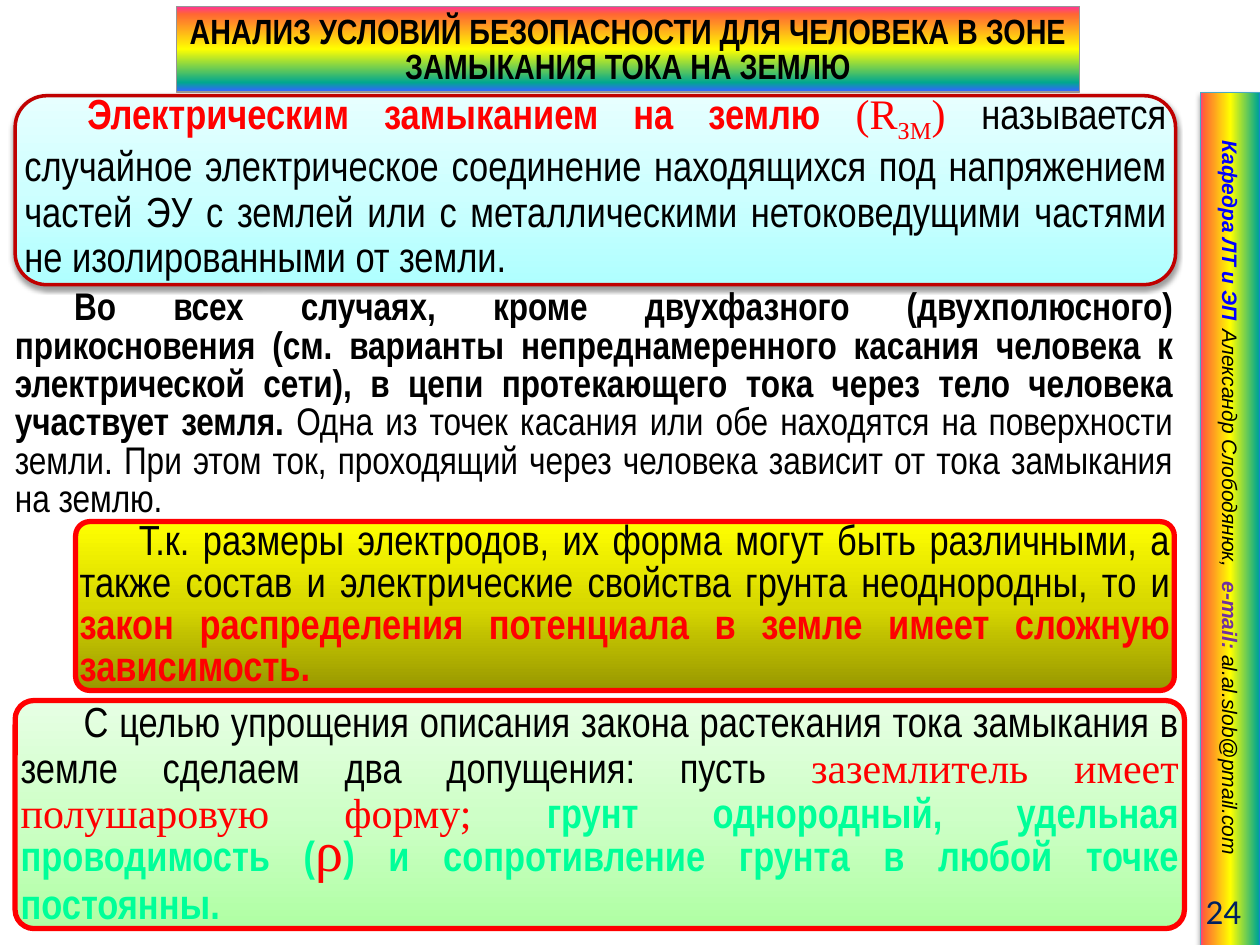
from dataclasses import dataclass

from lxml.etree import SubElement
from pptx import Presentation
from pptx.dml.color import RGBColor as RGB
from pptx.enum.shapes import MSO_SHAPE as SHAPE
from pptx.enum.text import MSO_ANCHOR as ANCHOR, MSO_AUTO_SIZE as AUTO, PP_ALIGN as ALIGN
from pptx.oxml.ns import qn
from pptx.util import Inches, Pt


@dataclass(frozen=True)
class Theme:
    """Colours, fonts and type sizes of the slide."""
    black: str = "000000"
    red: str = "FF0000"
    dark_red: str = "C00000"
    green: str = "00FF99"
    blue: str = "0000FF"
    purple: str = "7030A0"
    navy: str = "002060"
    grey: str = "969696"
    teal: str = "46AAC5"
    title_rainbow: tuple = ((0, "FF3399"), (9, "FF6633"), (50, "FFFF00"), (89, "01A78F"), (99, "3366FF"))
    side_rainbow: tuple = ((0, "FF3399"), (6, "FF6633"), (50, "FFFF00"), (96, "01A78F"), (100, "3366FF"))
    aqua: tuple = ((0, "AFFFFF"), (50, "CEFFFF"), (100, "E7FFFF"))
    olive: tuple = ((0, "979700"), (50, "D7D700"), (100, "FFFF00"))
    mint: tuple = ((0, "AFFFA3"), (50, "CEFFC7"), (100, "E7FFE4"))
    narrow: str = "Arial Narrow"
    serif: str = "Times New Roman"
    sans: str = "Arial"
    number_font: str = "Calibri"
    side: int = 12
    title: int = 20
    body: int = 22
    box: int = 24
    symbol: int = 32


def add_text(paragraph, text, size, font, color, bold=False, italic=False, baseline=0, outline=None):
    """Append a formatted run; outline is (points, opacity percent)."""
    run = paragraph.add_run()
    run.text = text
    run.font.size, run.font.name = Pt(size), font
    run.font.bold, run.font.italic = bold, italic
    run.font.color.rgb = RGB.from_string(color)
    properties = run.font._element
    if baseline:
        properties.set("baseline", str(baseline * 1000))
    if outline:
        width, opacity = outline
        edge = SubElement(properties, qn("a:ln"), w=str(Pt(width)))
        ink = SubElement(SubElement(edge, qn("a:solidFill")), qn("a:srgbClr"), val=Theme.black)
        SubElement(ink, qn("a:alpha"), val=str(opacity * 1000))
        properties.insert(0, edge)


class SlideBuilder:
    """Holds the theme and the current slide."""

    def __init__(self, slide, theme):
        self.slide, self.theme = slide, theme

    def paint(self, shape, stops, angle, line, weight, shadow=False):
        """Give a shape its gradient, outline and optional shadow."""
        shape.fill.gradient()
        shape.fill.gradient_angle = angle
        stop_list = shape._element.spPr.find(".//" + qn("a:gsLst"))
        stop_list.clear()
        for position, color in stops:
            stop = SubElement(stop_list, qn("a:gs"), pos=str(position * 1000))
            SubElement(stop, qn("a:srgbClr"), val=color)
        shape.line.color.rgb = RGB.from_string(line)
        shape.line.width = Pt(weight)
        shape.shadow.inherit = False
        if shadow:
            effects = shape._element.spPr.find(qn("a:effectLst"))
            outer = SubElement(effects, qn("a:outerShdw"), blurRad=str(Pt(3.1)), dist=str(Pt(1.6)),
                               dir="5400000", rotWithShape="0")
            ink = SubElement(outer, qn("a:srgbClr"), val=self.theme.black)
            SubElement(ink, qn("a:alpha"), val="38000")

    def set_paragraph(self, shape, runs, align, spacing=None, indent=0, insets=(0.1, 0.05, 0.1, 0.05),
                      anchor=ANCHOR.MIDDLE, tabs=()):
        """Fill a shape with one paragraph of formatted runs."""
        frame = shape.text_frame
        frame.word_wrap, frame.auto_size, frame.vertical_anchor = True, AUTO.NONE, anchor
        frame.margin_left, frame.margin_top, frame.margin_right, frame.margin_bottom = map(Inches, insets)
        paragraph = frame.paragraphs[0]
        paragraph.alignment = align
        if spacing:
            paragraph.line_spacing = Pt(spacing)
        properties = paragraph._p.get_or_add_pPr()
        properties.set("marL", "0")
        properties.set("indent", str(Inches(indent)))
        if tabs:
            tab_list = SubElement(properties, qn("a:tabLst"))
            for tab in tabs:
                SubElement(tab_list, qn("a:tab"), pos=str(Inches(tab)), algn="l")
        for text, style in runs:
            add_text(paragraph, text, **style)

    def title(self, bounds, text):
        """Turn the title placeholder into a rounded rainbow banner."""
        theme, banner = self.theme, self.slide.shapes.title
        banner.left, banner.top, banner.width, banner.height = map(Inches, bounds)
        outline = SubElement(banner._element.spPr, qn("a:prstGeom"), prst="roundRect")
        SubElement(outline, qn("a:avLst"))
        self.paint(banner, theme.title_rainbow, 270, theme.grey, 0.75)
        style = dict(size=theme.title, font=theme.narrow, color=theme.black, bold=True)
        self.set_paragraph(banner, [(text, style)], ALIGN.CENTER, 20, insets=(0.04, 0.04, 0.04, 0))

    def box(self, bounds, runs, stops, line, weight, spacing, indent=0.5, pad=0.04, corner=None, shadow=False):
        """Add a rounded box with justified text."""
        panel = self.slide.shapes.add_shape(SHAPE.ROUNDED_RECTANGLE, *map(Inches, bounds))
        if corner:
            panel.adjustments[0] = corner
        self.paint(panel, stops, 90, line, weight, shadow)
        self.set_paragraph(panel, runs, ALIGN.JUSTIFY, spacing, indent, (0, pad, 0, pad))

    def sidebar(self, bounds, runs, tabs):
        """Add the rotated rainbow strip."""
        strip = self.slide.shapes.add_shape(SHAPE.RECTANGLE, *map(Inches, bounds))
        strip.rotation = 90
        self.paint(strip, self.theme.side_rainbow, 90, self.theme.teal, 0.75, shadow=True)
        self.set_paragraph(strip, runs, ALIGN.LEFT, insets=(0.38, 0.05, 0, 0.05), tabs=tabs)

    def label(self, bounds, runs, align, **layout):
        """Add a plain text box."""
        self.set_paragraph(self.slide.shapes.add_textbox(*map(Inches, bounds)), runs, align, **layout)


def main():
    """Build the slide and save it."""
    deck = Presentation()
    deck.slide_width, deck.slide_height = Inches(10), Inches(7.5)
    theme = Theme()
    page = SlideBuilder(deck.slides.add_slide(deck.slide_layouts[5]), theme)

    hairline = (0.07, 55)
    plain = dict(size=theme.box, font=theme.narrow, color=theme.black)
    strong = dict(plain, color=theme.red, bold=True, outline=hairline)
    serif = dict(plain, font=theme.serif, color=theme.red, outline=hairline)
    green = dict(plain, color=theme.green, bold=True, outline=(1, 100))
    body = dict(plain, size=theme.body)
    side = dict(size=theme.side, font=theme.sans, color=theme.black, italic=True)

    page.sidebar((6.38, 3.88, 6.77, 0.48), [
        ("Кафедра ЛТ и ЭП\t", dict(side, color=theme.blue, bold=True)),
        ("Александр Слободянюк,\t", side),
        ("e-mail: ", dict(side, color=theme.purple, bold=True)),
        ("al.al.slob@pmail.com", side),
    ], tabs=(1.85, 3.83))
    page.label((8.86, 7.03, 1.09, 0.4),
               [("24", dict(size=theme.title, font=theme.number_font, color=theme.navy))], ALIGN.RIGHT)
    page.label((0.02, 2.25, 9.39, 1.95), [
        ("Во всех случаях, кроме двухфазного (двухполюсного) прикосновения (см. варианты "
         "непреднамеренного касания человека к электрической сети), в цепи протекающего тока "
         "через тело человека участвует земля. ", dict(body, bold=True)),
        ("Одна из точек касания или обе находятся на поверхности земли. При этом ток, "
         "проходящий через человека зависит от тока замыкания на землю.", body),
    ], ALIGN.JUSTIFY, spacing=22, indent=0.47, anchor=ANCHOR.TOP)
    page.title((1.4, 0.05, 7.17, 0.68),
               "АНАЛИЗ УСЛОВИЙ БЕЗОПАСНОСТИ ДЛЯ ЧЕЛОВЕКА В ЗОНЕ ЗАМЫКАНИЯ ТОКА НА ЗЕМЛЮ")
    page.box((0.12, 5.56, 9.28, 1.81), [
        ("С целью упрощения описания закона растекания тока замыкания в земле сделаем "
         "два допущения: пусть ", plain),
        ("заземлитель имеет полушаровую форму; ", serif),
        ("грунт однородный, удельная проводимость (", green),
        ("ρ", dict(serif, size=theme.symbol)),
        (") и сопротивление грунта в любой точке постоянны.", green),
    ], theme.mint, theme.red, 3, 26, corner=0.082)
    page.box((0.12, 0.76, 9.21, 1.5), [
        ("Электрическим замыканием на землю ", strong),
        ("(R", serif),
        ("ЗМ", dict(serif, baseline=-25)),
        (") ", serif),
        ("называется случайное электрическое соединение находящихся под напряжением частей ЭУ "
         "с землей или с металлическими нетоковедущими частями не изолированными от земли.", plain),
    ], theme.aqua, theme.dark_red, 2, 26, pad=0, shadow=True)
    page.box((0.6, 4.14, 8.72, 1.34), [
        ("Т.к. размеры электродов, их форма могут быть различными, а также состав и "
         "электрические свойства грунта неоднородны, то и ", plain),
        ("закон распределения потенциала в земле имеет сложную зависимость.", strong),
    ], theme.olive, theme.red, 3, 24, indent=0.47, corner=0.084)

    deck.save("out.pptx")


if __name__ == "__main__":
    main()
